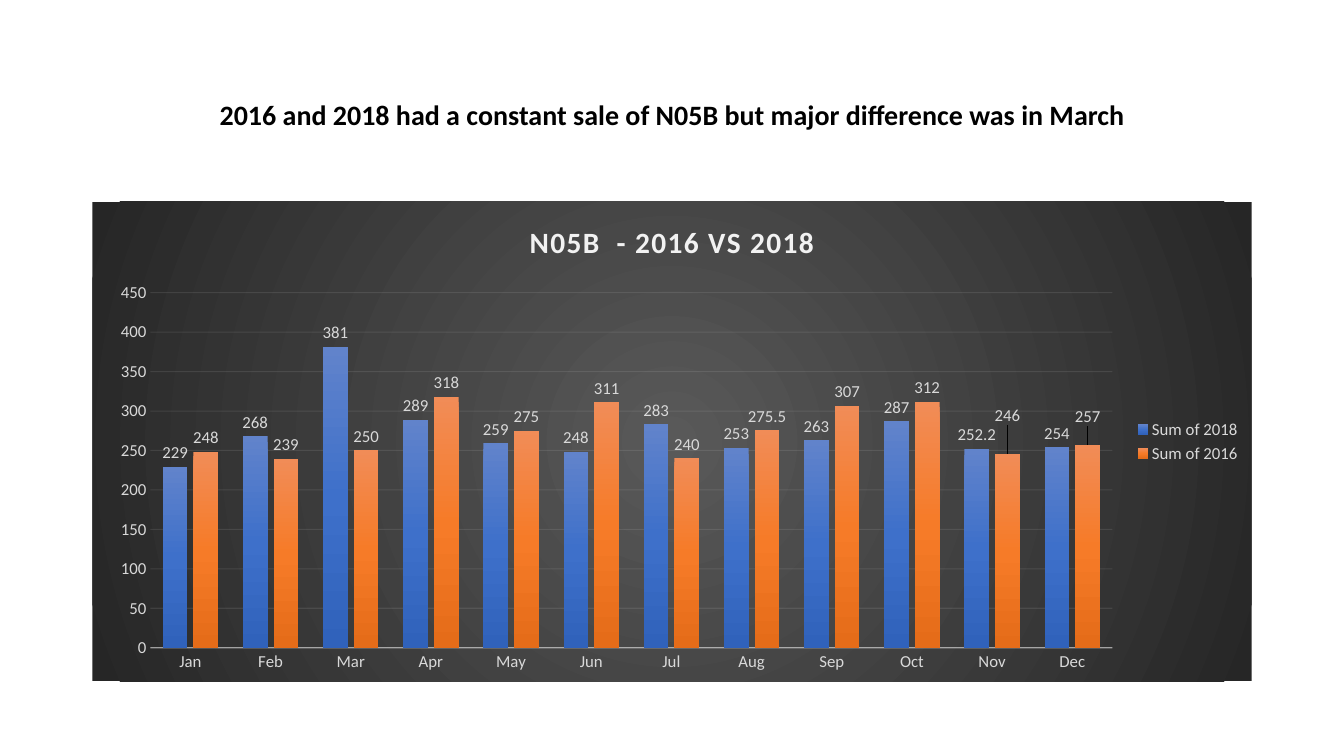
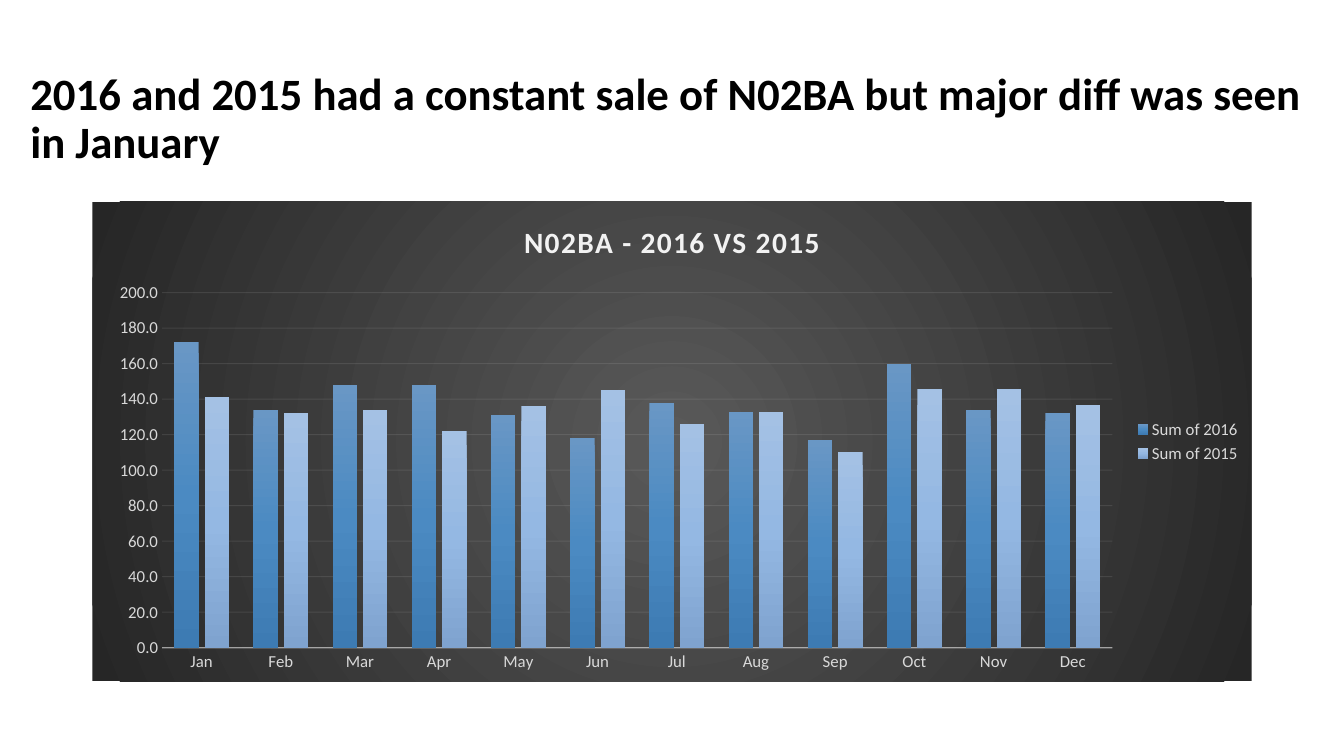
from dataclasses import dataclass

import pptx
import pptx.chart.data
import pptx.dml.color
import pptx.enum.chart
import pptx.enum.text
import pptx.oxml
import pptx.oxml.ns
import pptx.util
from pptx.util import Cm


@dataclass(frozen=True)
class Theme:
    font: str = "Calibri"
    ink: str = "000000"
    chart_title: str = "F2F2F2"
    chart_text: str = "D9D9D9"
    chart_line: str = "F2F2F2"
    panel: tuple = ("595959", "262626")
    blue: tuple = ("6183CB", "3E70CA", "3062BB")
    orange: tuple = ("F18C57", "F67B28", "E56C19")
    steel: tuple = ("6997C5", "4B8AC2", "3D7BB3")
    sky: tuple = ("A4C1E4", "94B8E3", "7FA3CF")
    chart_title_size: int = 21
    label_size: int = 12


THEME = Theme()
SLIDE_SIZE = Cm(33.87), Cm(19.05)
CHART_BOX = Cm(2.33), Cm(5.08), Cm(29.21), Cm(12.09)
PLOT_TOP, PLOT_HEIGHT, PLOT_RIGHT = 0.19, 0.74, 0.88
MONTHS = ["Jan", "Feb", "Mar", "Apr", "May", "Jun",
          "Jul", "Aug", "Sep", "Oct", "Nov", "Dec"]

SLIDES = [
    {
        "title": "2016 and 2018 had a constant sale of N05B but major difference was in March",
        "title_size": 20,
        "title_box": (Cm(5.28), Cm(1.09), Cm(27.94), Cm(3.68)),
        "chart_title": "N05B  - 2016 VS 2018",
        "series": [
            ("Sum of 2018", THEME.blue,
             [229, 268, 381, 289, 259, 248, 283, 253, 263, 287, 252.2, 254]),
            ("Sum of 2016", THEME.orange,
             [248, 239, 250, 318, 275, 311, 240, 275.5, 307, 312, 246, 257]),
        ],
        "scale": (450, 50, "General"),
        "plot_left": 0.05,
        "labels": True,
        "raised_labels": [(1, 10, -0.05), (1, 11, -0.03)],
    },
    {
        "title": "2016 and 2015 had a constant sale of N02BA but major diff was seen in January",
        "title_size": 32,
        "title_box": (Cm(0.51), Cm(1.19), Cm(32.82), Cm(3.68)),
        "chart_title": "N02BA - 2016 VS 2015",
        "series": [
            ("Sum of 2016", THEME.steel,
             [172, 134, 148, 148, 131, 118, 138, 133, 117, 160, 134, 132]),
            ("Sum of 2015", THEME.sky,
             [141, 132, 134, 122, 136, 145, 126, 133, 110, 146, 146, 137]),
        ],
        "scale": (200, 20, "0.0"),
        "plot_left": 0.06,
        "labels": False,
        "raised_labels": [],
    },
]


def rgb(colour):
    return pptx.dml.color.RGBColor.from_string(colour)


def style_font(font, size=THEME.label_size, colour=THEME.chart_text, bold=False):
    font.name = THEME.font
    font.size = pptx.util.Pt(size)
    font.bold = bold
    font.color.rgb = rgb(colour)


def write_text(text_frame, text, line_spacing=None, align=None, **font_format):
    paragraph = text_frame.paragraphs[0]
    paragraph.alignment = align
    paragraph.line_spacing = line_spacing
    run = paragraph.add_run()
    run.text = text
    style_font(run.font, **font_format)


def xml(markup):
    head, rest = markup.split(">", 1)
    if head.endswith("/"):
        head, rest = head[:-1], "/>" + rest
    else:
        rest = ">" + rest
    return pptx.oxml.parse_xml(f"{head} {pptx.oxml.ns.nsdecls('a', 'c')}{rest}")


def gradient(colours, direction):
    step = 100000 // (len(colours) - 1)
    stops = "".join(
        f'<a:gs pos="{index * step}"><a:srgbClr val="{colour}"/></a:gs>'
        for index, colour in enumerate(colours))
    return f"<a:gradFill><a:gsLst>{stops}</a:gsLst>{direction}</a:gradFill>"


def manual_layout(**parts):
    values = "".join(f'<c:{name} val="{value}"/>' for name, value in parts.items())
    return xml(f"<c:layout><c:manualLayout>{values}</c:manualLayout></c:layout>")


def style_line(chart, line, location, width, opacity):
    line.color.rgb = rgb(THEME.chart_line)
    line.width = pptx.util.Pt(width)
    colour = chart.element.xpath(f"c:chart/c:plotArea/{location}//a:ln//a:srgbClr")[0]
    colour.append(xml(f'<a:alpha val="{opacity * 1000}"/>'))


def style_axes(chart, scale):
    months, values = chart.category_axis, chart.value_axis
    for axis in (months, values):
        axis.major_tick_mark = axis.minor_tick_mark = pptx.enum.chart.XL_TICK_MARK.NONE
        style_font(axis.tick_labels.font)
    values.minimum_scale = 0
    values.maximum_scale, values.major_unit, number_format = scale
    values.tick_labels.number_format = number_format
    values.tick_labels.number_format_is_linked = False
    values.has_major_gridlines = True
    values.format.line.fill.background()
    style_line(chart, months.format.line, "c:catAx/c:spPr", 1, 54)
    style_line(chart, values.major_gridlines.format.line, "c:valAx/c:majorGridlines", 0.75, 10)


def style_panel(chart, plot_left):
    direction = ('<a:path path="circle"><a:fillToRect l="50000" t="50000" '
                 'r="50000" b="50000"/></a:path>')
    style_font(chart.font)
    panel = xml(f"<c:spPr>{gradient(THEME.panel, direction)}"
                "<a:ln><a:noFill/></a:ln></c:spPr>")
    chart.element.xpath("c:txPr")[0].addprevious(panel)
    plot_area = chart.element.xpath("c:chart/c:plotArea")[0]
    for layout in plot_area.xpath("c:layout"):
        plot_area.remove(layout)
    plot_area.insert(0, manual_layout(
        layoutTarget="inner", xMode="edge", yMode="edge", x=plot_left, y=PLOT_TOP,
        w=round(PLOT_RIGHT - plot_left, 2), h=PLOT_HEIGHT))


def style_series(chart, content):
    plot = chart.plots[0]
    plot.gap_width, plot.overlap = 100, -24
    plot.vary_by_categories = False
    outside = pptx.enum.chart.XL_LABEL_POSITION.OUTSIDE_END
    for index, (series, (_, colours, _)) in enumerate(zip(plot.series, content["series"])):
        series.invert_if_negative = False
        series.format.line.fill.background()
        fill = xml(gradient(colours, '<a:lin ang="5400000" scaled="0"/>'))
        chart.element.xpath(".//c:ser/c:spPr")[index].insert(0, fill)
        if content["labels"]:
            series.data_labels.show_value = True
            series.data_labels.position = outside
            style_font(series.data_labels.font)
    for series_index, point_index, shift in content["raised_labels"]:
        label = plot.series[series_index].points[point_index].data_label
        label.position = outside
        style_font(label.font)
        position = chart.element.xpath(
            f".//c:ser[{series_index + 1}]//c:dLbl/c:idx[@val='{point_index}']")[0]
        position.addnext(manual_layout(x=0, y=shift))


def add_sales_chart(slide, content):
    data = pptx.chart.data.CategoryChartData()
    data.categories = MONTHS
    for name, _, values in content["series"]:
        data.add_series(name, values)
    chart = slide.shapes.add_chart(
        pptx.enum.chart.XL_CHART_TYPE.COLUMN_CLUSTERED, *CHART_BOX, data).chart
    chart.has_title = True
    write_text(chart.chart_title.text_frame, content["chart_title"],
               size=THEME.chart_title_size, colour=THEME.chart_title, bold=True)
    chart.element.xpath("c:chart/c:title//a:r/a:rPr")[0].set("spc", "100")
    chart.has_legend = True
    chart.legend.position = pptx.enum.chart.XL_LEGEND_POSITION.RIGHT
    chart.legend.include_in_layout = False
    style_font(chart.legend.font)
    style_panel(chart, content["plot_left"])
    style_axes(chart, content["scale"])
    style_series(chart, content)


def add_title(slide, content):
    title = slide.shapes.title
    title.left, title.top, title.width, title.height = content["title_box"]
    frame = title.text_frame
    frame.word_wrap = True
    frame.auto_size = pptx.enum.text.MSO_AUTO_SIZE.NONE
    frame.vertical_anchor = pptx.enum.text.MSO_ANCHOR.MIDDLE
    write_text(frame, content["title"], line_spacing=0.9,
               align=pptx.enum.text.PP_ALIGN.LEFT, size=content["title_size"],
               colour=THEME.ink, bold=True)


def main():
    presentation = pptx.Presentation()
    presentation.slide_width, presentation.slide_height = SLIDE_SIZE
    title_only = presentation.slide_layouts[5]
    for content in SLIDES:
        slide = presentation.slides.add_slide(title_only)
        add_title(slide, content)
        add_sales_chart(slide, content)
    presentation.save("out.pptx")


if __name__ == "__main__":
    main()
